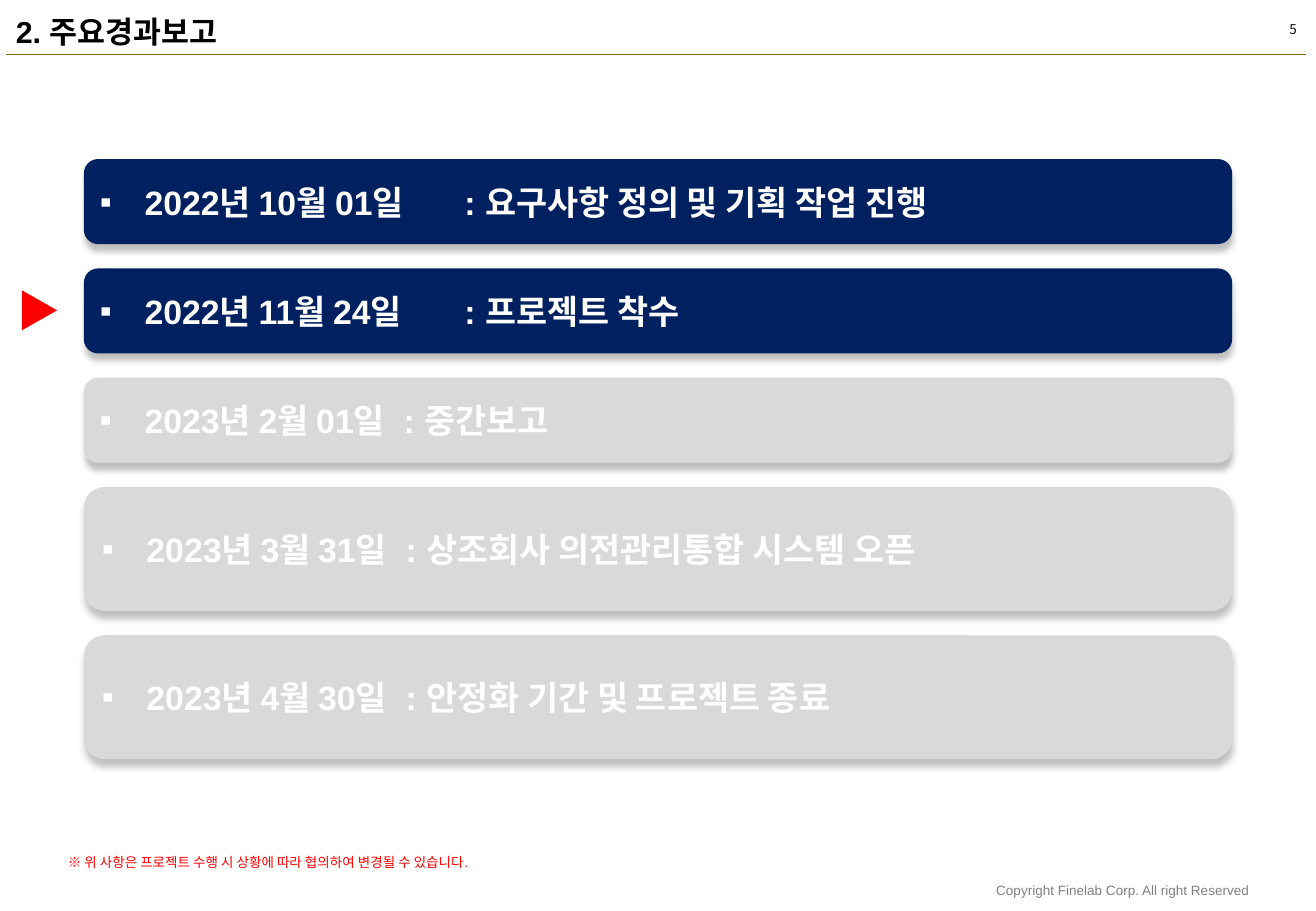
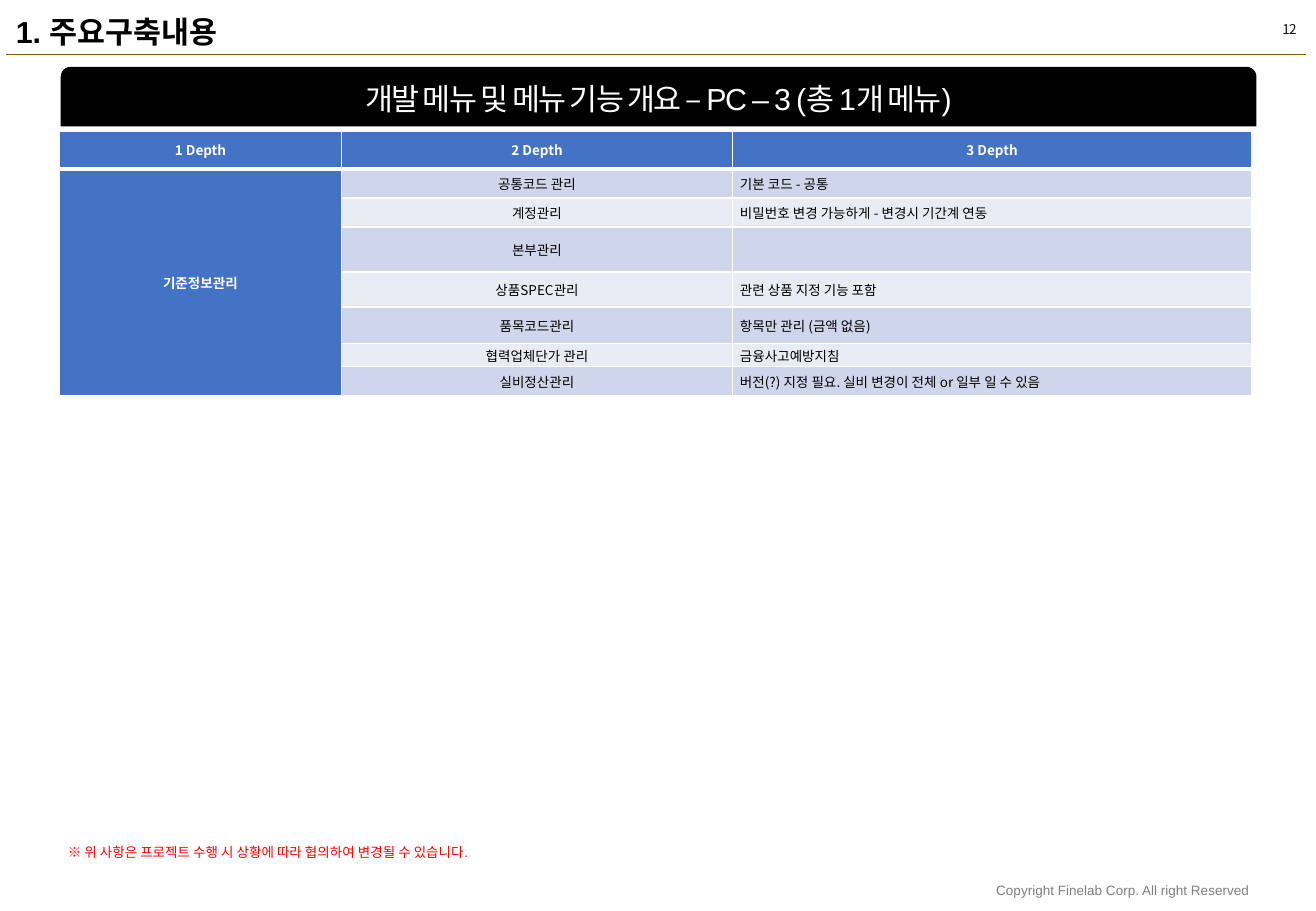
import pptx
import pptx.util
import pptx.dml.color
import pptx.enum.shapes
import pptx.enum.text
import pptx.oxml
import pptx.oxml.ns
from lxml import etree

Inches = pptx.util.Inches
Pt = pptx.util.Pt
RGBColor = pptx.dml.color.RGBColor
SHAPE = pptx.enum.shapes.MSO_SHAPE
ALIGN = pptx.enum.text.PP_ALIGN
ANCHOR = pptx.enum.text.MSO_ANCHOR
qn = pptx.oxml.ns.qn

# Colours and fonts
BLACK = RGBColor(0x00, 0x00, 0x00)
WHITE = RGBColor(0xFF, 0xFF, 0xFF)
RED = RGBColor(0xFF, 0x00, 0x00)
NAVY = RGBColor(0x00, 0x20, 0x60)
PENDING = RGBColor(0xD9, 0xD9, 0xD9)
SHADOW = RGBColor(0xBF, 0xBF, 0xBF)
RULE = RGBColor(0x80, 0x60, 0x00)
FOOTER = RGBColor(0x80, 0x80, 0x80)
PAGE = RGBColor(0x0D, 0x0D, 0x0D)
BLUE = RGBColor(0x44, 0x72, 0xC4)
BANDS = (RGBColor(0xCF, 0xD5, 0xEA), RGBColor(0xE9, 0xEB, 0xF5))
LATIN = "Arial"
KOREAN = "Noto Sans CJK KR"


def write_text(tf, text, size=8, color=BLACK, bold=False, font=LATIN,
               align=ALIGN.LEFT, spacing=None, bullet=None, indent=0.29):
    """Fill the first paragraph of a text frame with one formatted run."""
    p = tf.paragraphs[0]
    p.alignment = align
    if bullet:
        pPr = p._p.get_or_add_pPr()
        pPr.set("marL", str(Inches(indent)))
        pPr.set("indent", str(-Inches(indent)))
        etree.SubElement(pPr, qn("a:buFont")).set("typeface", LATIN)
        etree.SubElement(pPr, qn("a:buChar")).set("char", bullet)
    r = p.add_run()
    r.text = text
    r.font.size = Pt(size)
    r.font.bold = bold
    r.font.name = font
    r.font.color.rgb = color
    rPr = r.font._element
    etree.SubElement(rPr, qn("a:ea")).set("typeface", KOREAN)
    if spacing is not None:
        rPr.set("spc", str(round(spacing * 100)))


class Deck:
    """Holds the shared style and the current slide."""

    def __init__(self):
        self.prs = pptx.Presentation()
        self.prs.slide_width = Inches(10.83)
        self.prs.slide_height = Inches(7.5)
        self.slide = None

    def new_slide(self, title, page):
        self.slide = self.prs.slides.add_slide(self.prs.slide_layouts[5])
        self.rule(0.05, 10.75, 0.45)
        self.text(8.89, 0.12, 1.88, page, color=PAGE, font=KOREAN,
                  align=ALIGN.RIGHT, spacing=-0.3)
        self.text(8.1, 7.21, 2.37, "Copyright Finelab Corp. All right Reserved",
                  color=FOOTER)
        self.title(title)

    def title(self, text):
        sp = self.slide.shapes.title
        sp.left, sp.top = Inches(0.03), Inches(0.06)
        sp.width, sp.height = Inches(7.84), Inches(0.4)
        tf = sp.text_frame
        tf.auto_size = pptx.enum.text.MSO_AUTO_SIZE.NONE
        tf.vertical_anchor = ANCHOR.MIDDLE
        write_text(tf, text, size=18, bold=True)

    def rule(self, x1, x2, y):
        line = self.slide.shapes.add_connector(
            pptx.enum.shapes.MSO_CONNECTOR.STRAIGHT,
            Inches(x1), Inches(y), Inches(x2), Inches(y))
        line.line.color.rgb = RULE
        line.line.width = Pt(0.5)
        etree.SubElement(line.element.spPr, qn("a:effectLst"))

    def text(self, x, y, w, text, **fmt):
        sp = self.slide.shapes.add_textbox(
            Inches(x), Inches(y), Inches(w), Inches(0.24))
        sp.text_frame.word_wrap = True
        write_text(sp.text_frame, text, **fmt)

    def note(self, y):
        self.text(0.46, y, 9.53,
                  "※ 위 사항은 프로젝트 수행 시 상황에 따라 협의하여 변경될 수 있습니다.",
                  color=RED)

    def shape(self, kind, x, y, w, h, fill, text=None, shadow=False, **fmt):
        sp = self.slide.shapes.add_shape(
            kind, Inches(x), Inches(y), Inches(w), Inches(h))
        sp.shadow.inherit = False
        sp.fill.solid()
        sp.fill.fore_color.rgb = fill
        sp.line.fill.background()
        if shadow:
            effects = sp.element.spPr.find(qn("a:effectLst"))
            outer = etree.SubElement(
                effects, qn("a:outerShdw"), blurRad=str(Pt(4)), dist=str(Pt(4)),
                dir="5400000", algn="t", rotWithShape="0")
            etree.SubElement(outer, qn("a:srgbClr")).set("val", str(SHADOW))
        if text:
            sp.text_frame.word_wrap = True
            sp.text_frame.vertical_anchor = ANCHOR.MIDDLE
            write_text(sp.text_frame, text, color=WHITE, **fmt)
        return sp

    def cell(self, cell, text, fill, top=1, bottom=1, **fmt):
        cell.fill.solid()
        cell.fill.fore_color.rgb = fill
        cell.vertical_anchor = ANCHOR.MIDDLE
        cell.margin_left = cell.margin_right = Inches(0.06)
        cell.margin_top = cell.margin_bottom = 0
        # Borders come before the fill in the cell properties
        tcPr = cell._tc.get_or_add_tcPr()
        sides = (("lnL", 1), ("lnR", 1), ("lnT", top), ("lnB", bottom))
        for i, (side, width) in enumerate(sides):
            ln = etree.Element(qn("a:" + side), w=str(Pt(width)))
            solid = etree.SubElement(ln, qn("a:solidFill"))
            etree.SubElement(solid, qn("a:srgbClr")).set("val", str(WHITE))
            tcPr.insert(i, ln)
        if text:
            write_text(cell.text_frame, text, font=KOREAN, **fmt)

    def menu_table(self, x, y, cols, heights, header, group, rows):
        table = self.slide.shapes.add_table(
            len(heights), len(cols), Inches(x), Inches(y),
            Inches(sum(cols)), Inches(sum(heights))).table
        table.first_row = table.horz_banding = False
        for col, w in zip(table.columns, cols):
            col.width = Inches(w)
        for row, h in zip(table.rows, heights):
            row.height = Inches(h)
        head = dict(fill=BLUE, color=WHITE, bold=True, align=ALIGN.CENTER)
        for c, label in enumerate(header):
            self.cell(table.cell(0, c), label, bottom=3, **head)
        for r, (menu, detail) in enumerate(rows, 1):
            band = BANDS[(r - 1) % 2]
            top = 3 if r == 1 else 1
            self.cell(table.cell(r, 0), group if r == 1 else None, top=top, **head)
            self.cell(table.cell(r, 1), menu, band, top=top, align=ALIGN.CENTER)
            self.cell(table.cell(r, 2), detail, band, top=top)
        table.cell(1, 0).merge(table.cell(len(rows), 0))


def main():
    deck = Deck()

    # Milestones
    deck.new_slide("2. 주요경과보고", "5")
    milestones = (
        (0.7, NAVY, " 2022년 10월 01일 \t: 요구사항 정의 및 기획 작업 진행"),
        (0.7, NAVY, " 2022년 11월 24일 \t: 프로젝트 착수"),
        (0.7, PENDING, " 2023년 2월 01일 \t: 중간보고"),
        (1.02, PENDING, " 2023년 3월 31일 \t: 상조회사 의전관리통합 시스템 오픈"),
        (1.02, PENDING, " 2023년 4월 30일\t: 안정화 기간 및 프로젝트 종료"),
    )
    y, gap = 1.31, 0.2
    for h, fill, text in milestones:
        deck.shape(SHAPE.ROUNDED_RECTANGLE, 0.69, y, 9.45, h, fill, text,
                   shadow=True, size=20, bold=True, bullet="▪")
        y += h + gap
    marker = deck.shape(SHAPE.ISOSCELES_TRIANGLE, 0.16, 2.41, 0.33, 0.29, RED)
    marker.rotation = 90
    deck.note(6.98)

    # Menu overview
    deck.new_slide("1. 주요구축내용", "12")
    deck.shape(SHAPE.ROUND_2_SAME_RECTANGLE, 0.5, 0.55, 9.84, 0.49, BLACK,
               "개발 메뉴 및 메뉴 기능 개요 – PC – 3 (총 1개 메뉴)",
               size=18, align=ALIGN.CENTER, spacing=-1)
    deck.note(6.9)
    deck.menu_table(
        0.49, 1.08, (2.32, 3.22, 4.27),
        (0.31, 0.24, 0.24, 0.37, 0.29, 0.3, 0.19, 0.24),
        ("1 Depth", "2 Depth", "3 Depth"), "기준정보관리",
        (("공통코드 관리", "기본 코드 - 공통"),
         ("계정관리", "비밀번호 변경 가능하게 - 변경시 기간계 연동"),
         ("본부관리", None),
         ("상품SPEC관리", "관련 상품 지정 기능 포함"),
         ("품목코드관리", "항목만 관리 (금액 없음)"),
         ("협력업체단가 관리", "금융사고예방지침"),
         ("실비정산관리", "버전(?) 지정 필요. 실비 변경이 전체 or 일부 일 수 있음")))

    deck.prs.save("out.pptx")


if __name__ == "__main__":
    main()
